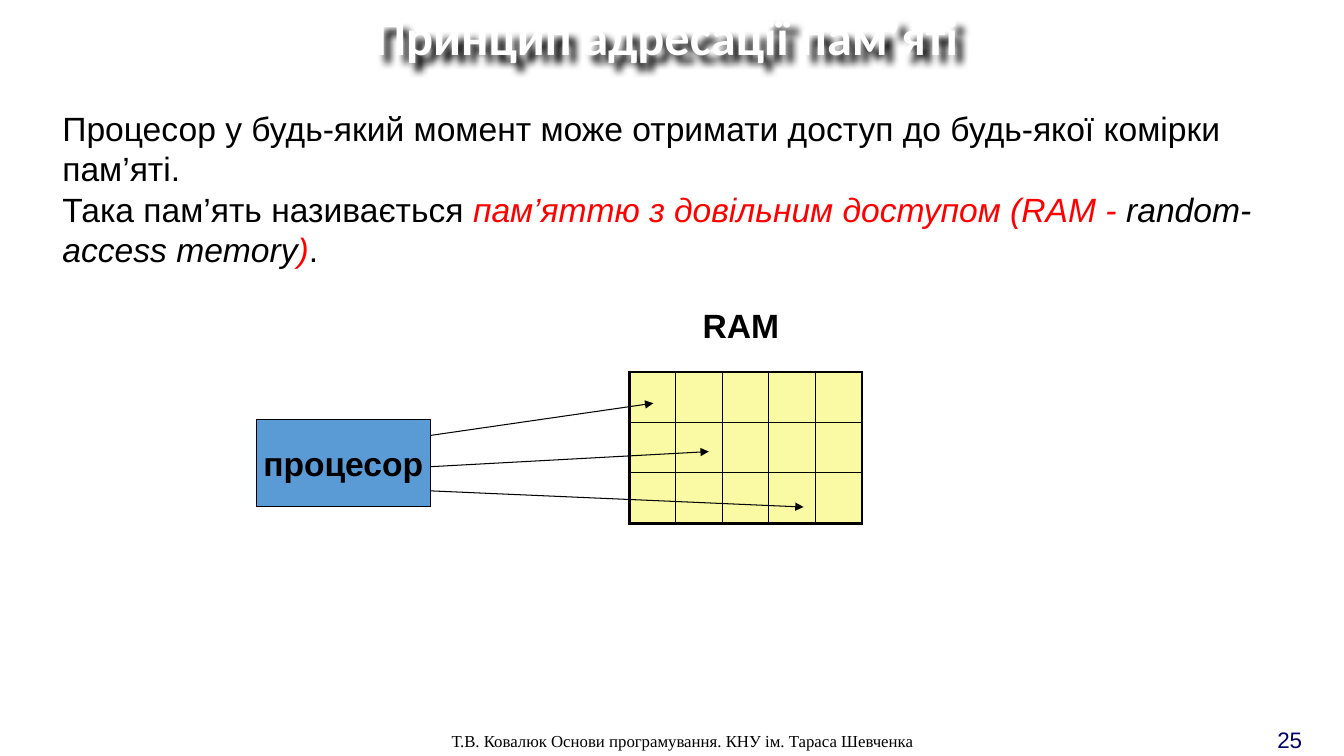
from lxml.etree import SubElement
from pptx import Presentation
from pptx.dml.color import RGBColor
from pptx.enum.shapes import MSO_CONNECTOR, MSO_SHAPE
from pptx.enum.text import MSO_ANCHOR, MSO_AUTO_SIZE, PP_ALIGN
from pptx.oxml import parse_xml
from pptx.oxml.ns import nsdecls, qn
from pptx.util import Emu, Pt

PX = 9144  # 100 px to the inch
COLORS = {"black": "000000", "white": "FFFFFF", "red": "FF0000",
          "navy": "000066", "blue": "5B9BD5", "yellow": "FAFAA4"}

BODY = {"name": "Arial", "size": 24, "color": "black"}
BOLD = BODY | {"bold": True}
ITALIC = BODY | {"italic": True}
TERM = ITALIC | {"color": "red"}
TITLE = {"name": "Calibri", "size": 36, "color": "white", "bold": True}
FOOTER = {"name": "Times New Roman", "size": 12, "color": "black"}
NUMBER = {"name": "Arial", "size": 16, "color": "navy"}

TITLE_BOX = (-11, 0, 1344, 71)
TITLE_TEXT = [[("Принцип адресації пам’яті", TITLE)]]
DEFINITION = [
    [("Процесор у будь-який момент може отримати доступ до будь-якої комірки пам’яті.", BODY)],
    [("Така пам’ять називається ", BODY),
     ("пам’яттю з довільним доступом (RAM - ", TERM),
     ("random-access memory", ITALIC), (")", TERM), (".", BODY)],
]
# box, paragraphs, anchor, wrap
TEXTS = [
    ((1257, 715, 54, 30), [[("25", NUMBER)]], MSO_ANCHOR.TOP, True),
    ((438, 720, 672, 30),
     [[("Т.В. Ковалюк Основи програмування. КНУ ім. Тараса Шевченка", FOOTER)]],
     MSO_ANCHOR.TOP, True),
    ((52, 101, 1252, 172), DEFINITION, MSO_ANCHOR.MIDDLE, True),
    ((687, 298, 96, 50), [[("RAM", BOLD)]], MSO_ANCHOR.TOP, False),
]
PROCESSOR_BOX = (254, 416, 173, 87)
PROCESSOR_TEXT = [[("процесор", BOLD)]]
MEMORY_BOX = (624, 369, 231, 150)
ROWS, COLUMNS = 3, 5
THIN, THICK = 1, 2.25
# start height on the processor's right edge, end point in memory
ACCESSES = [(432, (648, 400)), (463, (703, 448)), (487, (797, 503))]


def emu(lengths):
    return [Emu(length * PX) for length in lengths]


def rgb(name):
    return RGBColor.from_string(COLORS[name])


def write(shape, paragraphs, anchor, wrap, align=PP_ALIGN.LEFT):
    frame = shape.text_frame
    frame.auto_size = MSO_AUTO_SIZE.NONE
    frame.word_wrap = wrap
    frame.vertical_anchor = anchor
    for index, spans in enumerate(paragraphs):
        para = frame.add_paragraph() if index else frame.paragraphs[0]
        para.alignment = align
        for text, style in spans:
            span = para.add_run()
            span.text = text
            for key, value in style.items():
                if key == "color":
                    span.font.color.rgb = rgb(value)
                else:
                    setattr(span.font, key, Pt(value) if key == "size" else value)


def add_title(page):
    title = page.shapes.title
    title.left, title.top, title.width, title.height = emu(TITLE_BOX)
    write(title, TITLE_TEXT, MSO_ANCHOR.TOP, True, PP_ALIGN.CENTER)
    title.text_frame.paragraphs[0].line_spacing = 1.0
    title._element.spPr.append(parse_xml(
        f'<a:effectLst {nsdecls("a")}><a:outerShdw blurRad="50800" dist="76200" '
        f'dir="3000000" algn="tl" rotWithShape="0"><a:srgbClr val="{COLORS["black"]}"/>'
        '</a:outerShdw></a:effectLst>'))


def add_processor(page):
    processor = page.shapes.add_shape(MSO_SHAPE.RECTANGLE, *emu(PROCESSOR_BOX))
    processor.shadow.inherit = False
    processor.fill.solid()
    processor.fill.fore_color.rgb = rgb("blue")
    processor.line.color.rgb = rgb("black")
    processor.line.width = Pt(0.75)
    write(processor, PROCESSOR_TEXT, MSO_ANCHOR.MIDDLE, False, PP_ALIGN.CENTER)


def set_borders(cell, widths):
    """Draw the cell's sides; widths maps L, R, T and B to points."""
    properties = cell._tc.get_or_add_tcPr()
    for index, (side, width) in enumerate(widths.items()):
        properties.insert(index, parse_xml(
            f'<a:ln{side} {nsdecls("a")} w="{Pt(width)}"><a:solidFill>'
            f'<a:srgbClr val="{COLORS["black"]}"/></a:solidFill></a:ln{side}>'))


def add_memory(page):
    memory = page.shapes.add_table(ROWS, COLUMNS, *emu(MEMORY_BOX)).table
    memory.first_row = memory.horz_banding = False
    for row in range(ROWS):
        for column in range(COLUMNS):
            cell = memory.cell(row, column)
            cell.fill.solid()
            cell.fill.fore_color.rgb = rgb("yellow")
            outer = {"L": column == 0, "R": column == COLUMNS - 1,
                     "T": row == 0, "B": row == ROWS - 1}
            set_borders(cell, {side: THICK if edge else THIN
                               for side, edge in outer.items()})


def add_access(page, start, end):
    arrow = page.shapes.add_connector(MSO_CONNECTOR.STRAIGHT, *emu(start + end))
    arrow.line.color.rgb = rgb("black")
    arrow.line.width = Pt(0.75)
    SubElement(arrow.line._get_or_add_ln(), qn("a:tailEnd"), type="triangle")
    SubElement(arrow._element.spPr, qn("a:effectLst"))


def main():
    deck = Presentation()
    deck.slide_width, deck.slide_height = emu((1333, 750))
    page = deck.slides.add_slide(deck.slide_layouts[5])
    for box, paragraphs, anchor, wrap in TEXTS:
        write(page.shapes.add_textbox(*emu(box)), paragraphs, anchor, wrap)
    add_processor(page)
    add_memory(page)
    left, _, width, _ = PROCESSOR_BOX
    for height, end in ACCESSES:
        add_access(page, (left + width, height), end)
    add_title(page)
    deck.save("out.pptx")


if __name__ == "__main__":
    main()
